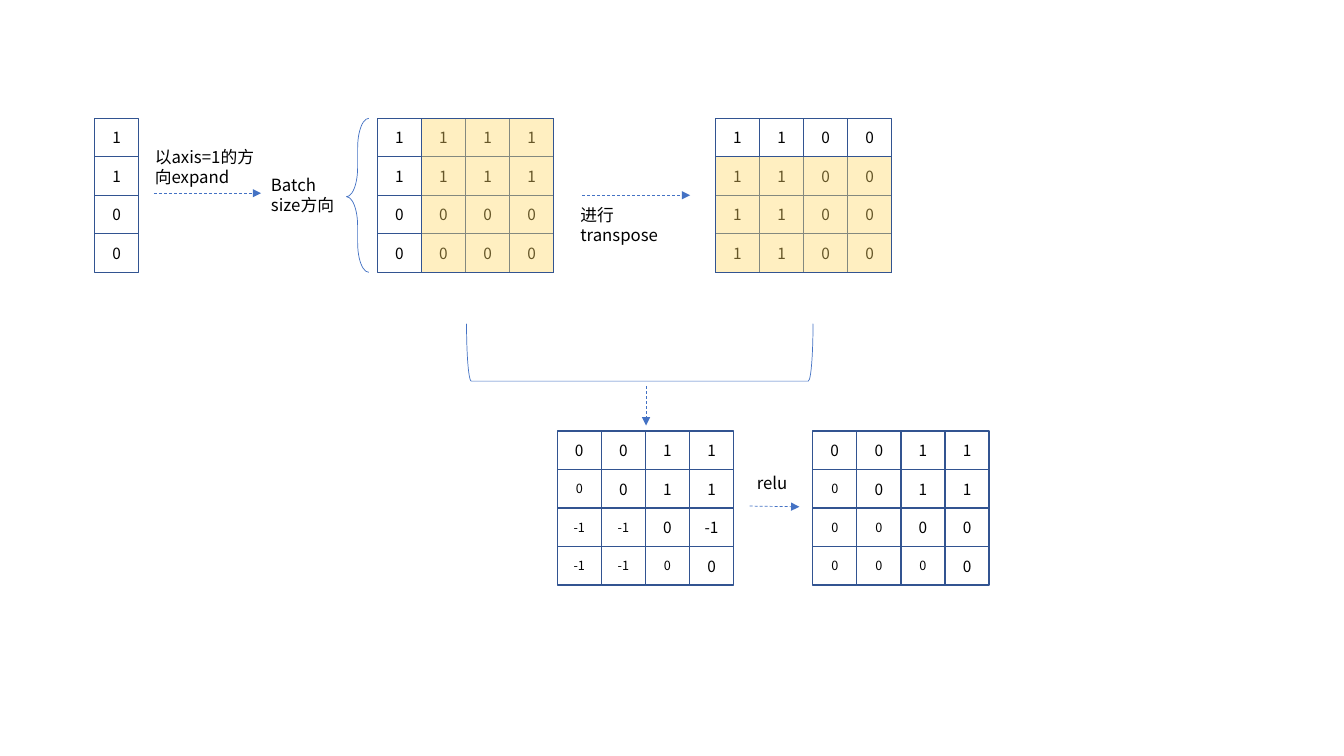
import dataclasses

import lxml.etree
import pptx
import pptx.dml.color
import pptx.enum.dml
import pptx.enum.shapes
import pptx.enum.text
import pptx.oxml.ns
import pptx.util

PX = pptx.util.Inches(1) // 144
CELL_WIDTH, CELL_HEIGHT = 63, 55
SHAPES = pptx.enum.shapes.MSO_SHAPE


@dataclasses.dataclass(frozen=True)
class Theme:
    """Colours, font and sizes of the diagram."""
    font: str = "Noto Sans CJK SC"
    ink: str = "000000"
    border: str = "325491"
    accent: str = "4472C4"
    highlight: str = "FFD966"
    highlight_alpha: int = 40000
    label_size: float = 12
    label_leading: float = 14.4
    digit_size: float = 11
    small_digit_size: float = 9
    border_width: float = 1
    accent_width: float = 0.5


THEME = Theme()


def rgb(code):
    """Turn a hex code into a colour."""
    return pptx.dml.color.RGBColor.from_string(code)


def add_child(parent, tag, **attributes):
    """Append a DrawingML element to its parent."""
    return lxml.etree.SubElement(parent, pptx.oxml.ns.qn(tag), attributes)


def style_text(paragraph, size):
    """Set the font of a paragraph for Latin and Chinese text."""
    paragraph.font.size = pptx.util.Pt(size)
    paragraph.font.name = THEME.font
    paragraph.font.color.rgb = rgb(THEME.ink)
    defaults = paragraph._p.pPr.find(pptx.oxml.ns.qn("a:defRPr"))
    add_child(defaults, "a:ea", typeface=THEME.font)


def add_outline(slide, preset, left, top, width, height, color, weight):
    """Draw an unfilled preset shape."""
    outline = slide.shapes.add_shape(
        preset, left * PX, top * PX, width * PX, height * PX)
    outline.shadow.inherit = False
    outline.fill.background()
    outline.line.color.rgb = rgb(color)
    outline.line.width = pptx.util.Pt(weight)
    return outline


def add_cell(slide, left, top, columns=1, rows=1):
    """Draw a bordered rectangle spanning whole cells."""
    return add_outline(slide, SHAPES.RECTANGLE, left, top,
                       columns * CELL_WIDTH, rows * CELL_HEIGHT,
                       THEME.border, THEME.border_width)


def add_matrix(slide, left, top, values, small_below_diagonal=False):
    """Draw a grid of numbers."""
    for row, numbers in enumerate(values):
        for column, number in enumerate(numbers):
            cell = add_cell(slide, left + column * CELL_WIDTH, top + row * CELL_HEIGHT)
            cell.text_frame.vertical_anchor = pptx.enum.text.MSO_ANCHOR.MIDDLE
            digit = cell.text_frame.paragraphs[0]
            digit.text = str(number)
            digit.alignment = pptx.enum.text.PP_ALIGN.CENTER
            small = small_below_diagonal and row > column
            style_text(digit, THEME.small_digit_size if small else THEME.digit_size)


def add_highlight(slide, left, top, columns, rows):
    """Cover the copied cells with a translucent tint."""
    tint = add_cell(slide, left, top, columns, rows)
    tint.fill.solid()
    tint.fill.fore_color.rgb = rgb(THEME.highlight)
    color = next(tint._element.spPr.iter(pptx.oxml.ns.qn("a:srgbClr")))
    add_child(color, "a:alpha", val=str(THEME.highlight_alpha))


def add_label(slide, left, top, width, height, wording):
    """Write a wrapped caption."""
    label = slide.shapes.add_textbox(left * PX, top * PX, width * PX, height * PX)
    label.text_frame.word_wrap = True
    label.text_frame.auto_size = pptx.enum.text.MSO_AUTO_SIZE.SHAPE_TO_FIT_TEXT
    caption = label.text_frame.paragraphs[0]
    caption.text = wording
    caption.line_spacing = pptx.util.Pt(THEME.label_leading)
    style_text(caption, THEME.label_size)


def add_arrow(slide, left, top, across, down):
    """Draw a dashed arrow from a point by the given reach."""
    arrow = slide.shapes.add_connector(
        pptx.enum.shapes.MSO_CONNECTOR.STRAIGHT, left * PX, top * PX,
        (left + across) * PX, (top + down) * PX)
    arrow.line.color.rgb = rgb(THEME.accent)
    arrow.line.width = pptx.util.Pt(THEME.accent_width)
    arrow.line.dash_style = pptx.enum.dml.MSO_LINE.DASH
    properties = arrow._element.spPr
    add_child(properties.find(pptx.oxml.ns.qn("a:ln")), "a:tailEnd", type="triangle")
    add_child(properties, "a:effectLst")


def add_expand_stage(slide, left, top, labels):
    """Expand the label vector into a matrix."""
    matrix_left = left + 404
    add_matrix(slide, left, top, [[label] for label in labels])
    add_arrow(slide, left + 85, top + 107, 153, 0)
    add_label(slide, left + 72, top + 33, 173, 72, "以axis=1的方向expand")
    add_label(slide, left + 238, top + 74, 138, 72, "Batch size方向")
    brace = add_outline(slide, SHAPES.LEFT_BRACE, left + 360, top, 32, 4 * CELL_HEIGHT,
                        THEME.accent, THEME.accent_width)
    brace.adjustments[0] = 1.309
    brace.adjustments[1] = 0.509
    add_matrix(slide, matrix_left, top, [[label] * 4 for label in labels])
    add_highlight(slide, matrix_left + CELL_WIDTH, top, 3, 4)


def add_transpose_stage(slide, left, top, labels):
    """Transpose the expanded matrix."""
    matrix_left = left + 207
    add_arrow(slide, left + 17, top + 110, 154, 0)
    add_label(slide, left, top + 116, 183, 43, "进行transpose")
    add_matrix(slide, matrix_left, top, [labels] * 4)
    add_highlight(slide, matrix_left, top + CELL_HEIGHT, 4, 3)


def add_relu_stage(slide, left, top, width, labels):
    """Join both matrices, subtract them and apply relu."""
    depth = 82
    bracket = add_outline(slide, SHAPES.LEFT_BRACKET, left + (width - depth) // 2,
                          top - (width - depth) // 2, depth, width,
                          THEME.accent, THEME.accent_width)
    bracket.rotation = 270
    add_arrow(slide, left + 256, top + 90, 0, 56)

    matrix_top = top + 154
    differences = [[0, 0, 1, 1], [0, 0, 1, 1], [-1, -1, 0, -1], [-1, -1, 0, 0]]
    rectified = [[max(number, 0) for number in numbers] for numbers in differences]
    add_matrix(slide, left + 129, matrix_top, differences, True)
    add_arrow(slide, left + 404, matrix_top + 107, 71, 1)
    add_label(slide, left + 400, matrix_top + 52, 82, 43, "relu")
    add_matrix(slide, left + 494, matrix_top, rectified, True)


def main():
    """Build and save the slide."""
    presentation = pptx.Presentation()
    presentation.slide_width = 1920 * PX
    presentation.slide_height = 1080 * PX
    slide = presentation.slides.add_slide(presentation.slide_layouts[6])
    labels = [1, 1, 0, 0]
    add_expand_stage(slide, 135, 169, labels)
    add_transpose_stage(slide, 815, 169, labels)
    add_relu_stage(slide, 667, 462, 495, labels)
    presentation.save("out.pptx")


if __name__ == "__main__":
    main()
